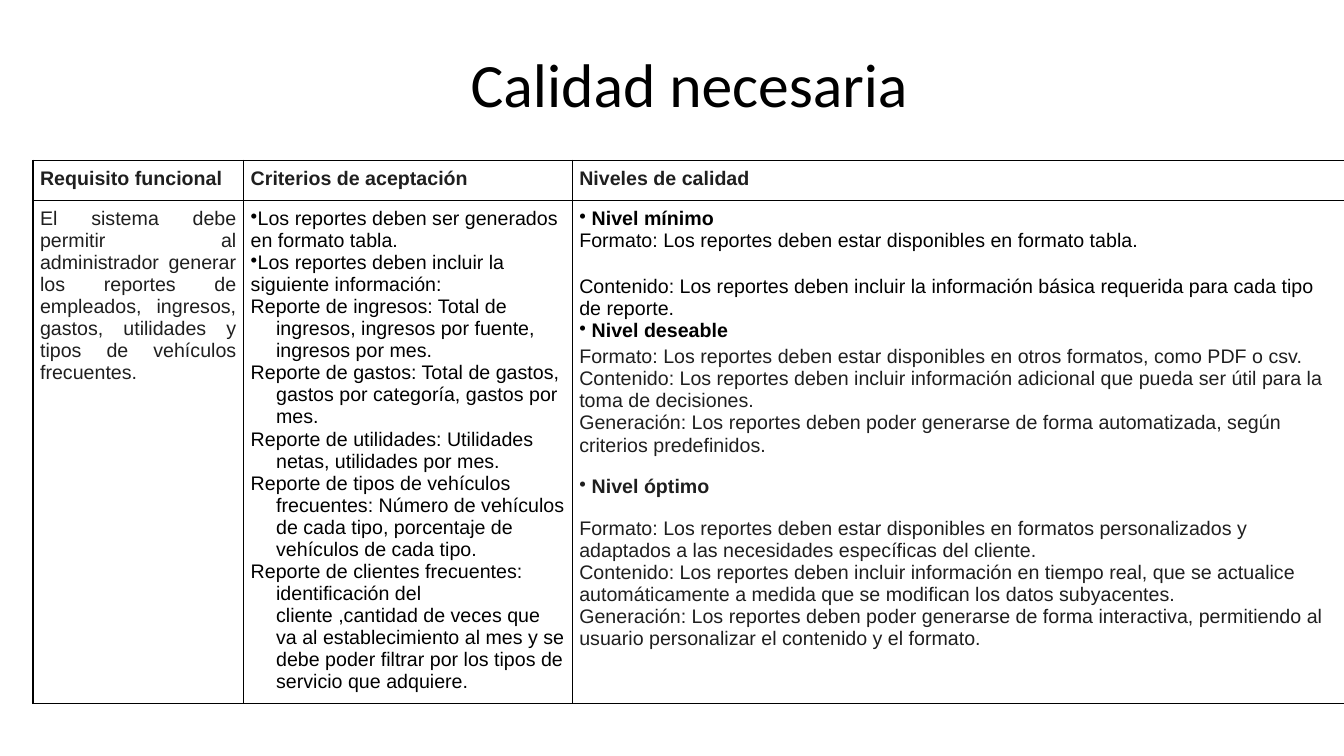
"""Builds the slide on required quality levels."""
from lxml.etree import SubElement
from pptx import Presentation
from pptx.dml.color import RGBColor
from pptx.enum.text import MSO_ANCHOR, PP_ALIGN
from pptx.oxml.ns import qn
from pptx.util import Cm, Pt

BLACK, DARK = "000000", "1F1F1F"
HEADERS = ["Requisito funcional", "Criterios de aceptación", "Niveles de calidad"]
REQUIREMENT = ("El sistema debe permitir al administrador generar los reportes de empleados, "
               "ingresos, gastos, utilidades y tipos de vehículos frecuentes.")
CRITERIA = [
    "Los reportes deben ser generados en formato tabla.",
    "Los reportes deben incluir la siguiente información:",
]
REPORTS = [
    "Reporte de ingresos: Total de ingresos, ingresos por fuente, ingresos por mes.",
    "Reporte de gastos: Total de gastos, gastos por categoría, gastos por mes.",
    "Reporte de utilidades: Utilidades netas, utilidades por mes.",
    "Reporte de tipos de vehículos frecuentes: Número de vehículos de cada tipo, "
    "porcentaje de vehículos de cada tipo.",
    "Reporte de clientes frecuentes: identificación del cliente ,cantidad de veces que va al "
    "establecimiento al mes y se debe poder filtrar por los tipos de servicio que adquiere.",
]
LEVELS = [
    (" Nivel mínimo", dict(bullet=True, bold=True)),
    ("Formato: Los reportes deben estar disponibles en formato tabla.", {}),
    ("Contenido: Los reportes deben incluir la información básica requerida para cada tipo "
     "de reporte.", dict(before=17)),
    (" Nivel deseable", dict(bullet=True, bold=True)),
    ("Formato: Los reportes deben estar disponibles en otros formatos, como PDF o csv.",
     dict(color=DARK, before=3)),
    ("Contenido: Los reportes deben incluir información adicional que pueda ser útil para la "
     "toma de decisiones.", dict(color=DARK)),
    ("Generación: Los reportes deben poder generarse de forma automatizada, según criterios "
     "predefinidos.", dict(color=DARK, after=11)),
    (" Nivel óptimo", dict(bullet=True, bold=True, color=DARK, before=3, after=11)),
    ("Formato: Los reportes deben estar disponibles en formatos personalizados y adaptados a "
     "las necesidades específicas del cliente.", dict(color=DARK, before=3)),
    ("Contenido: Los reportes deben incluir información en tiempo real, que se actualice "
     "automáticamente a medida que se modifican los datos subyacentes.", dict(color=DARK)),
    ("Generación: Los reportes deben poder generarse de forma interactiva, permitiendo al "
     "usuario personalizar el contenido y el formato.", dict(color=DARK)),
]


def rgb(value):
    return RGBColor.from_string(value)


def add_text(tf, text, size=14, font="Arial", color=BLACK, bold=False, align=PP_ALIGN.LEFT,
             before=0, after=0, line=None, bullet=False, hang=0):
    p = tf.paragraphs[0]
    if p.runs:
        p = tf.add_paragraph()
    pPr = p._p.get_or_add_pPr()
    pPr.set("marL", str(Cm(hang)))
    pPr.set("indent", str(-Cm(hang)))
    if bullet:
        SubElement(pPr, qn("a:buChar"), char="•")
    else:
        SubElement(pPr, qn("a:buNone"))
    p.alignment = align
    p.space_before, p.space_after = Pt(before), Pt(after)
    p.line_spacing = line
    r = p.add_run()
    r.text = text
    r.font.size, r.font.name, r.font.bold = Pt(size), font, bold
    r.font.color.rgb = rgb(color)


def add_borders(cell, color=BLACK, width=1):
    tcPr = cell._tc.get_or_add_tcPr()
    for side in ("lnL", "lnR", "lnT", "lnB"):
        ln = SubElement(tcPr, qn(f"a:{side}"), w=str(Pt(width)))
        fill = SubElement(ln, qn("a:solidFill"))
        SubElement(fill, qn("a:srgbClr"), val=color)


def fill_cell(cell, items):
    add_borders(cell)
    cell.fill.background()
    cell.margin_left = cell.margin_right = Cm(0.18)
    cell.margin_top = cell.margin_bottom = Cm(0.18)
    cell.vertical_anchor = MSO_ANCHOR.TOP
    for text, style in items:
        add_text(cell.text_frame, text, **style)


def add_title(s, text):
    sp = s.shapes.title
    sp.left, sp.top, sp.width, sp.height = Cm(2.77), Cm(0.36), Cm(29.21), Cm(3.68)
    sp.text_frame.vertical_anchor = MSO_ANCHOR.MIDDLE
    add_text(sp.text_frame, text, size=44, font="Calibri", align=PP_ALIGN.CENTER, line=0.9)


def add_grid(s, rows, widths, heights):
    frame = s.shapes.add_table(len(rows), len(widths), Cm(0.83), Cm(4.04),
                               Cm(sum(widths)), Cm(sum(heights)))
    table = frame.table
    table.first_row = table.horz_banding = False
    for column, width in zip(table.columns, widths):
        column.width = Cm(width)
    for row, height, cells in zip(table.rows, heights, rows):
        row.height = Cm(height)
        for cell, items in zip(row.cells, cells):
            fill_cell(cell, items)


def main():
    prs = Presentation()
    prs.slide_width, prs.slide_height = Cm(33.87), Cm(19.05)
    s = prs.slides.add_slide(prs.slide_layouts[5])
    add_title(s, "Calidad necesaria")
    header = [[(text, dict(color=DARK, bold=True))] for text in HEADERS]
    requirement = [(REQUIREMENT, dict(color=DARK, align=PP_ALIGN.JUSTIFY))]
    criteria = [(text, dict(bullet=True)) for text in CRITERIA]
    criteria += [(text, dict(hang=0.64)) for text in REPORTS]
    add_grid(s, [header, [requirement, criteria, LEVELS]],
             widths=[5.31, 8.28, 19.46], heights=[1.02, 12.67])
    prs.save("out.pptx")


if __name__ == "__main__":
    main()
